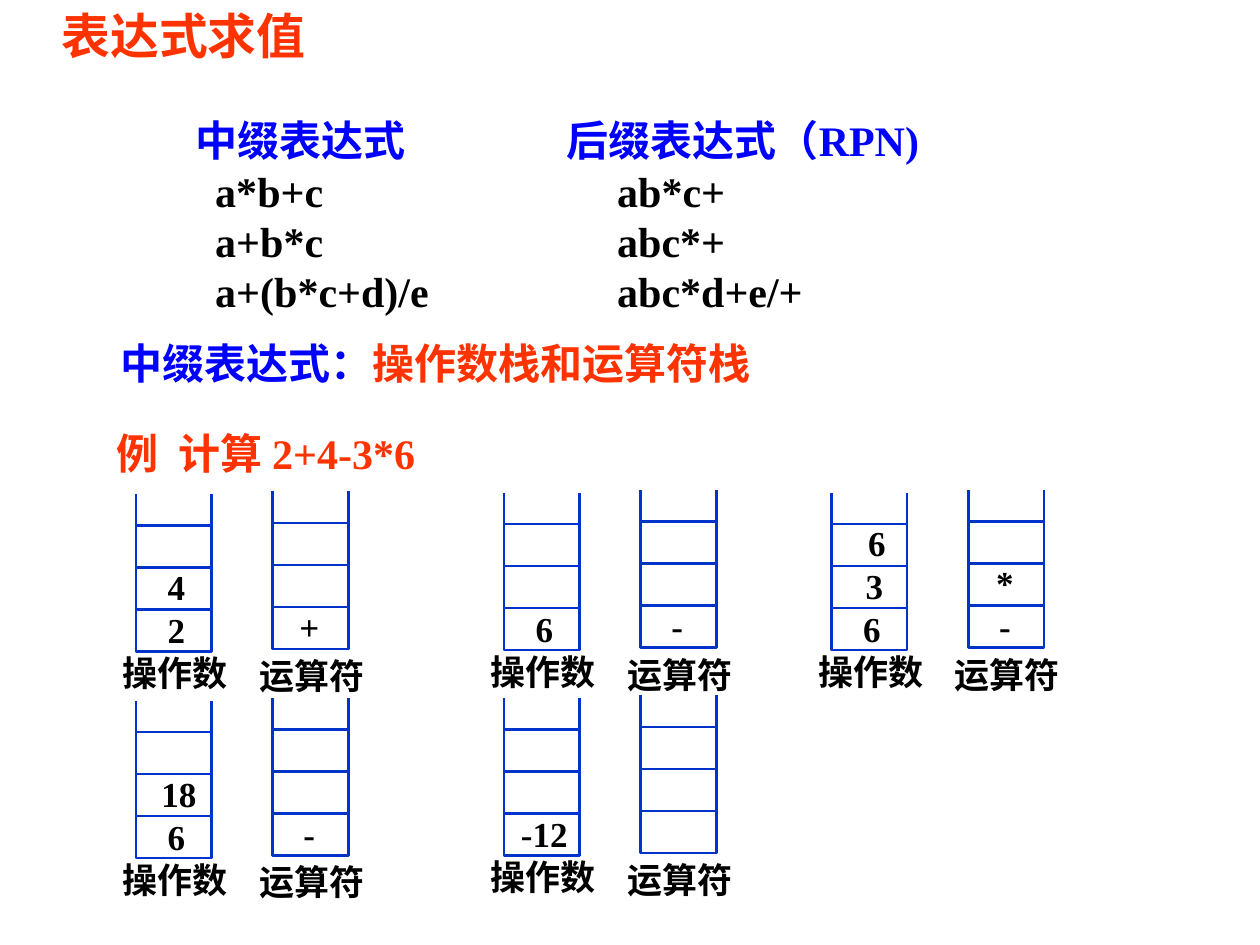
"""Build the slide on evaluating expressions with two stacks."""
from lxml.etree import SubElement
from pptx import Presentation
from pptx.dml.color import RGBColor
from pptx.enum.shapes import MSO_CONNECTOR, MSO_SHAPE
from pptx.enum.text import MSO_ANCHOR, PP_ALIGN
from pptx.oxml.ns import qn
from pptx.util import Inches, Pt

RED, BLUE, BLACK, WHITE, EDGE = "FF3300", "0000FF", "000000", "FFFFFF", "0033CC"


def tint(color, code):
    color.rgb = RGBColor.from_string(code)


def write(para, runs, size, align=PP_ALIGN.LEFT, tabs=()):
    para.alignment = align
    if tabs:
        stops = SubElement(para._p.get_or_add_pPr(), qn("a:tabLst"))
        for pos in tabs:
            SubElement(stops, qn("a:tab"), pos=str(Inches(pos)), algn="l")
    for words, code in runs:
        run = para.add_run()
        run.text = words
        run.font.name = "Times New Roman"
        run.font.size = Pt(size)
        run.font.bold = True
        tint(run.font.color, code)


deck = Presentation()
deck.slide_width, deck.slide_height = Inches(10), Inches(7.5)
slide = deck.slides.add_slide(deck.slide_layouts[5])

title = slide.shapes.title
title.left, title.top = Inches(0.39), Inches(0)
title.width, title.height = Inches(3.35), Inches(0.56)
title.text_frame.vertical_anchor = MSO_ANCHOR.MIDDLE
title.text_frame.word_wrap = True
write(title.text_frame.paragraphs[0], [("表达式求值", RED)], 27.9)

head, row = (0.83, 3.78), (0.99, 4.18)
blocks = [
    (0.62, 0.86, 7.2, 1.7, [
        (head, [("\t中缀表达式\t后缀表达式（RPN)", BLUE)]),
        (row, [("\ta*b+c\tab*c+", BLACK)]),
        (row, [("\ta+b*c\tabc*+", BLACK)]),
        (row, [("\ta+(b*c+d)/e\tabc*d+e/+", BLACK)]),
    ]),
    (0.86, 2.63, 5.6, 0.5, [
        ((), [("中缀表达式：", BLUE), ("操作数栈和运算符栈", RED)]),
    ]),
    (0.83, 3.34, 3, 0.5, [((0.49,), [("例\t计算 2+4-3*6", RED)])]),
]
for left, top, wide, high, lines in blocks:
    box = slide.shapes.add_textbox(Inches(left), Inches(top), Inches(wide), Inches(high))
    frame = box.text_frame
    frame.word_wrap = True
    frame.vertical_anchor = MSO_ANCHOR.MIDDLE
    for num, (tabs, runs) in enumerate(lines):
        para = frame.add_paragraph() if num else frame.paragraphs[0]
        write(para, runs, 24, tabs=tabs)

stages = [
    (1.08, 3.92, 0, ["2", "4"], ["+"]),
    (4, 3.91, 0, ["6"], ["-"]),
    (6.6, 3.91, 0.02, ["6", "3", "6"], ["-", "*"]),
    (1.08, 5.56, 0.02, ["6", "18"], ["-"]),
    (4, 5.54, 0, ["-12"], []),
]
WIDE, CELL, DEEP = 0.6, 1 / 3, 1.25
for x, y, lean, nums, signs in stages:
    group = slide.shapes.add_group_shape().shapes
    pair = [
        (x, y, 0.32, lean, 1.2, "操作数", nums),
        (x + 1.085, y - 0.02, 0.29, 0, 1.24, "运算符", signs),
    ]
    for left, top, mid, shift, drop, name, items in pair:
        for side in (left, left + WIDE):
            wall = group.add_connector(
                MSO_CONNECTOR.STRAIGHT,
                Inches(side), Inches(top + DEEP), Inches(side), Inches(top))
            tint(wall.line.color, EDGE)
            wall.line.width = Pt(1.5)
            SubElement(wall._element.spPr, qn("a:effectLst"))
        for level in range(3):
            cell = group.add_shape(
                MSO_SHAPE.RECTANGLE, Inches(left),
                Inches(top + DEEP - CELL * (level + 1)), Inches(WIDE), Inches(CELL))
            cell.shadow.inherit = False
            cell.fill.solid()
            tint(cell.fill.fore_color, WHITE)
            tint(cell.line.color, EDGE)
            cell.line.width = Pt(1.5)
        labels = [(left + 0.31, top + drop, 1.2, name)]
        for level, item in enumerate(items):
            labels.append((left + mid + shift * level, top + 0.855 - 0.34 * level,
                           0.24 + 0.14 * len(item), item))
        for center, high, span, words in labels:
            box = group.add_textbox(
                Inches(center - span / 2), Inches(high), Inches(span), Inches(0.44))
            box.text_frame.word_wrap = False
            box.text_frame.vertical_anchor = MSO_ANCHOR.MIDDLE
            write(box.text_frame.paragraphs[0], [(words, BLACK)], 20, PP_ALIGN.CENTER)

deck.save("out.pptx")
